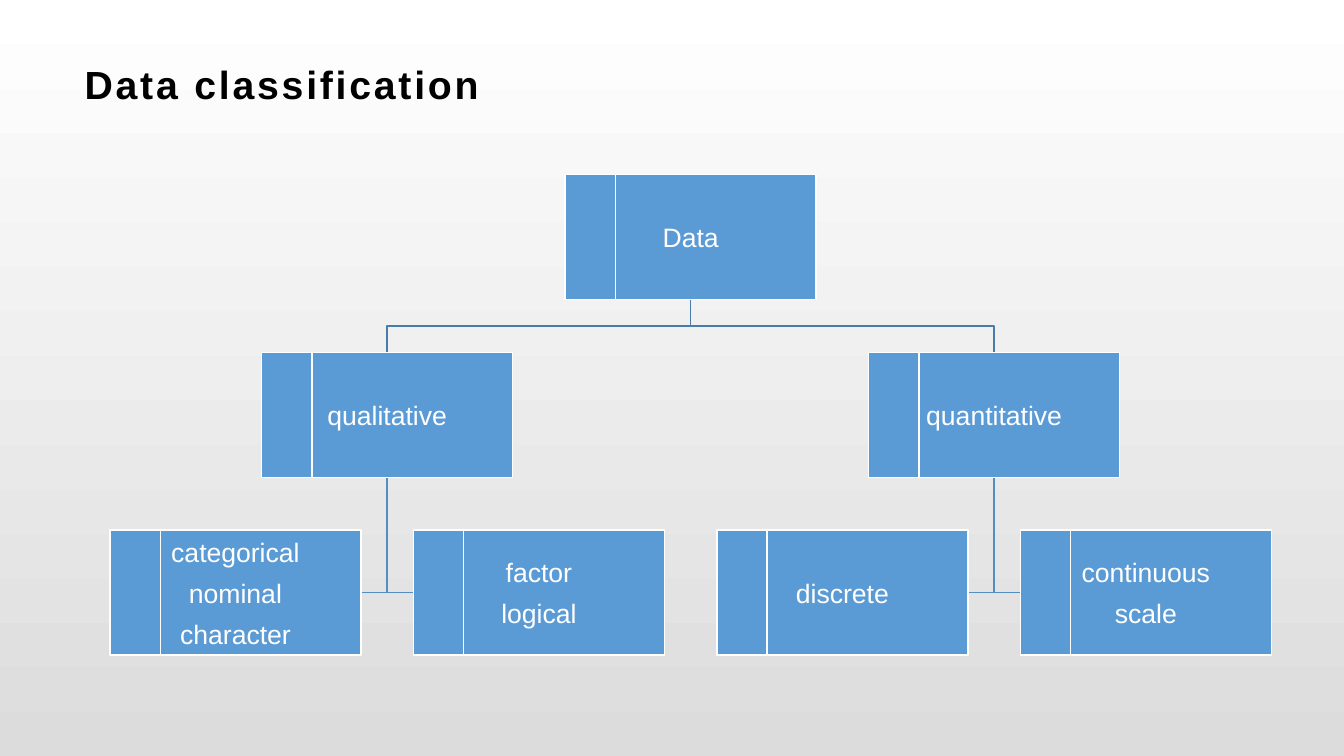
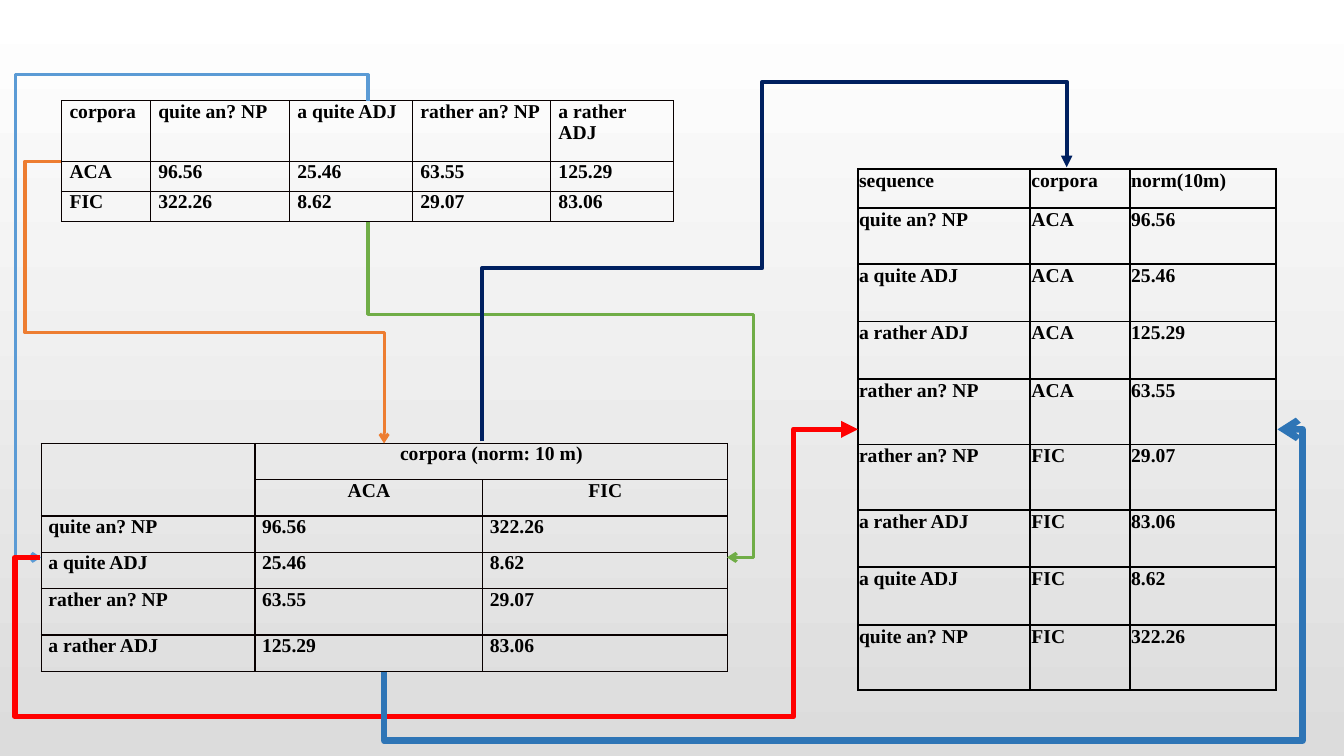
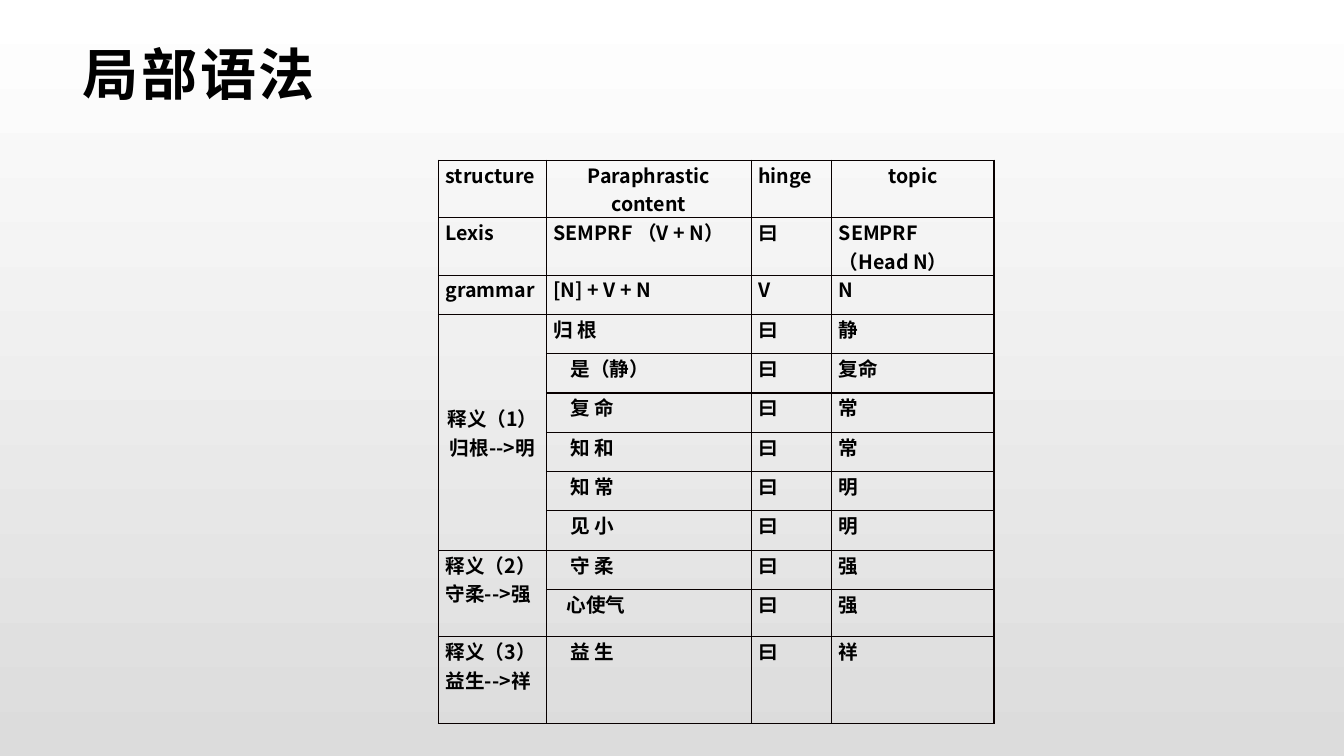
from dataclasses import dataclass, field
from typing import Optional

from lxml.etree import SubElement
from pptx import Presentation
from pptx.dml.color import RGBColor
from pptx.enum.shapes import MSO_CONNECTOR, MSO_SHAPE
from pptx.enum.text import MSO_ANCHOR, PP_ALIGN
from pptx.oxml import parse_xml
from pptx.oxml.ns import nsdecls, qn
from pptx.presentation import Presentation as Deck
from pptx.shapes.autoshape import Shape
from pptx.shapes.graphfrm import GraphicFrame
from pptx.slide import Slide
from pptx.text.text import TextFrame
from pptx.util import Inches, Pt

Point = tuple[float, float]
Position = tuple[int, int]

BLACK, WHITE, NODE_BLUE = "000000", "FFFFFF", "5B9BD5"
TRUNK_BLUE, BRANCH_BLUE = "497CAB", "538DC1"
SANS, SERIF, CHINESE = "Arial", "Times New Roman", "Noto Sans CJK SC"
TOP, LEFT, BOTTOM, RIGHT = range(4)

NODE_WIDTH, NODE_HEIGHT, STRIP_WIDTH = 2.49, 1.24, 0.5
LEAF_LEFT, LEAF_PITCH = 1.09, 3.01
LEVEL_TOPS = (1.73, 3.5, 5.26)


@dataclass(frozen=True)
class Node:
    """A tree box; column counts in leaf positions."""
    text: str
    column: float
    level: int

    @property
    def left(self) -> float:
        """Left edge in inches."""
        return LEAF_LEFT + self.column * LEAF_PITCH

    @property
    def top(self) -> float:
        """Top edge in inches."""
        return LEVEL_TOPS[self.level]

    @property
    def center(self) -> Point:
        """Middle of the box."""
        return self.left + NODE_WIDTH / 2, self.top + NODE_HEIGHT / 2


@dataclass(frozen=True)
class Grid:
    """A bordered table; spans maps a cell to its (rows, columns)."""
    left: float
    top: float
    widths: tuple[float, ...]
    heights: tuple[float, ...]
    rows: tuple[tuple[str, ...], ...]
    font: str = SERIF
    border: str = "080000"
    border_width: float = 1
    margins: Point = (0.07, 0)
    spans: dict[Position, Position] = field(default_factory=dict)
    centered: tuple[Position, ...] = ()
    indents: dict[Position, float] = field(default_factory=dict)


@dataclass(frozen=True)
class Route:
    """An elbow arrow between sides of two tables, through its corners."""
    source: str
    source_side: int
    target: str
    target_side: int
    points: tuple[Point, ...]
    color: str
    width: float
    head: Optional[str] = None
    tail: Optional[str] = None


ROOT = Node("Data", 1.5, 0)
QUALITATIVE = Node("qualitative", 0.5, 1)
QUANTITATIVE = Node("quantitative", 2.5, 1)
FAMILIES = {
    QUALITATIVE: (Node("categorical\nnominal\ncharacter", 0, 2),
                  Node("factor\nlogical", 1, 2)),
    QUANTITATIVE: (Node("discrete", 2, 2), Node("continuous\nscale", 3, 2)),
}

CORPUS_GRIDS = {
    "wide": Grid(
        0.61, 1, (0.88, 1.38, 1.22, 1.37, 1.22), (0.6, 0.3, 0.3),
        (("corpora", "quite an? NP", "a quite ADJ", "rather an? NP", "a rather ADJ"),
         ("ACA", "96.56", "25.46", "63.55", "125.29"),
         ("FIC", "322.26", "8.62", "29.07", "83.06")),
        margins=(0.08, 0)),
    "cross": Grid(
        0.41, 4.4, (2.12, 2.26, 2.43), (0.36, 0.36, 0.36, 0.36, 0.46, 0.36),
        (("", "corpora (norm: 10 m)", ""),
         ("", "ACA", "FIC"),
         ("quite an? NP", "96.56", "322.26"),
         ("a quite ADJ", "25.46", "8.62"),
         ("rather an? NP", "63.55", "29.07"),
         ("a rather ADJ", "125.29", "83.06")),
        spans={(0, 0): (2, 1), (0, 1): (1, 2)},
        centered=((0, 1), (1, 1), (1, 2))),
    "long": Grid(
        8.51, 1.68, (1.71, 0.99, 1.45),
        (0.38, 0.56, 0.57, 0.57, 0.65, 0.65, 0.57, 0.57, 0.65),
        (("sequence", "corpora", "norm(10m)"),
         ("quite an? NP", "ACA", "96.56"),
         ("a quite ADJ", "ACA", "25.46"),
         ("a rather ADJ", "ACA", "125.29"),
         ("rather an? NP", "ACA", "63.55"),
         ("rather an? NP", "FIC", "29.07"),
         ("a rather ADJ", "FIC", "83.06"),
         ("a quite ADJ", "FIC", "8.62"),
         ("quite an? NP", "FIC", "322.26")),
        border=BLACK, border_width=1.5, margins=(0.01, 0.01)),
}

ROUTES = (
    Route("wide", LEFT, "cross", TOP,
          ((0.61, 1.6), (0.25, 1.6), (0.25, 3.3), (3.81, 3.3), (3.81, 4.4)),
          "ED7D31", 2.25, tail="arrow"),
    Route("wide", TOP, "cross", LEFT,
          ((3.65, 1), (3.65, 0.74), (0.15, 0.74), (0.15, 5.53), (0.41, 5.53)),
          NODE_BLUE, 2.25, tail="arrow"),
    Route("wide", BOTTOM, "cross", RIGHT,
          ((3.65, 2.2), (3.65, 3.12), (7.47, 3.12), (7.47, 5.53), (7.21, 5.53)),
          "70AD47", 2.25, tail="arrow"),
    Route("long", LEFT, "cross", LEFT,
          ((8.51, 4.26), (7.87, 4.26), (7.87, 7.11), (0.15, 7.11), (0.15, 5.53),
           (0.4, 5.53)),
          "FF0000", 4, head="triangle"),
    Route("cross", BOTTOM, "long", RIGHT,
          ((3.81, 6.67), (3.81, 7.35), (12.92, 7.35), (12.92, 4.26), (12.67, 4.26)),
          "2E75B6", 4.75, tail="arrow"),
)
NAVY_TRACK = ((4.78, 4.38), (4.78, 2.66), (7.56, 2.66), (7.56, 0.81),
              (10.58, 0.81), (10.58, 1.66))

GRAMMAR_GRID = Grid(
    4.35, 1.59, (1.07, 2.03, 0.8, 1.61), (0.57,) * 2 + (0.39,) * 8 + (0.47, 0.86),
    (("structure", "Paraphrastic content", "hinge", "topic"),
     ("Lexis", "SEMPRF （V + N）", "曰", "SEMPRF （Head N）"),
     ("grammar", "[N] + V + N", "V", "N"),
     ("释义（1）归根-->明", "归 根", "曰", "静"),
     ("", "是（静）", "曰", "复命"),
     ("", "复 命", "曰", "常"),
     ("", "知 和", "曰", "常"),
     ("", "知 常", "曰", "明"),
     ("", "见 小", "曰", "明"),
     ("释义（2）守柔-->强", "守 柔", "曰", "强"),
     ("", "心使气", "曰", "强"),
     ("释义（3）益生-->祥", "益 生", "曰", "祥")),
    font=CHINESE,
    spans={(3, 0): (6, 1), (9, 0): (2, 1)},
    centered=((0, 1), (0, 3), (3, 0)),
    indents={**{(row, 1): 0.17 for row in range(4, 12)}, (10, 1): 0.13})


def rgb(value: str) -> RGBColor:
    """Turn a hex string into a colour."""
    return RGBColor.from_string(value)


def set_margins(frame: TextFrame, left: float, top: float,
                right: float, bottom: float) -> None:
    """Set the four text insets."""
    frame.margin_left, frame.margin_top = Inches(left), Inches(top)
    frame.margin_right, frame.margin_bottom = Inches(right), Inches(bottom)


def style_text(frame: TextFrame, size: float, font: str, color: str,
               bold: bool = False, spacing: float = 0) -> None:
    """Format every run of a text frame."""
    for para in frame.paragraphs:
        for span in para.runs:
            span.font.size, span.font.bold = Pt(size), bold
            span.font.name = font
            span.font.color.rgb = rgb(color)
            properties = span.font._element
            SubElement(properties, qn("a:ea")).set("typeface", CHINESE)
            if spacing:
                properties.set("spc", str(int(spacing * 100)))


def add_title(page: Slide, text: str, left: float, top: float,
              width: float, height: float, size: float) -> None:
    """Add the bold, spaced slide title."""
    box = page.shapes.add_textbox(Inches(left), Inches(top), Inches(width), Inches(height))
    frame = box.text_frame
    frame.word_wrap = True
    frame.vertical_anchor = MSO_ANCHOR.MIDDLE
    set_margins(frame, 0.11, 0.04, 0.08, 0.04)
    frame.text = text
    style_text(frame, size, SANS, BLACK, bold=True, spacing=2)


def add_arrowheads(line_properties, head: Optional[str], tail: Optional[str]) -> None:
    """Append arrowheads to a line element."""
    for tag, kind in (("a:headEnd", head), ("a:tailEnd", tail)):
        if kind:
            SubElement(line_properties, qn(tag)).set("type", kind)


def add_polyline(page: Slide, points: tuple[Point, ...], color: str, width: float,
                 tail: Optional[str] = None) -> None:
    """Draw an open outline through the points."""
    start, *others = [(Inches(x), Inches(y)) for x, y in points]
    builder = page.shapes.build_freeform(*start)
    builder.add_line_segments(others, close=False)
    track = builder.convert_to_shape()
    track.shadow.inherit = False
    track.fill.background()
    track.line.color.rgb = rgb(color)
    track.line.width = Pt(width)
    add_arrowheads(track.line._get_or_add_ln(), None, tail)


def add_node_box(page: Slide, node: Node, width: float) -> Shape:
    """Draw a blue rectangle at the node's corner."""
    box = page.shapes.add_shape(MSO_SHAPE.RECTANGLE, Inches(node.left), Inches(node.top),
                                Inches(width), Inches(NODE_HEIGHT))
    box.shadow.inherit = False
    box.fill.solid()
    box.fill.fore_color.rgb = rgb(NODE_BLUE)
    box.line.color.rgb = rgb(WHITE)
    box.line.width = Pt(1)
    return box


def add_node(page: Slide, node: Node) -> None:
    """Draw a labelled node with its strip on the left."""
    frame = add_node_box(page, node, NODE_WIDTH).text_frame
    frame.vertical_anchor = MSO_ANCHOR.MIDDLE
    set_margins(frame, 0.01, 0.01, 0.01, 0.01)
    frame.text = node.text
    for para in frame.paragraphs:
        para.alignment = PP_ALIGN.CENTER
        para.space_after = Pt(6.65)
    style_text(frame, 19, SANS, WHITE)
    add_node_box(page, node, STRIP_WIDTH)


def add_tree(page: Slide) -> None:
    """Draw the links, then the nodes of the classification."""
    root_x = ROOT.center[0]
    root_bottom = ROOT.top + NODE_HEIGHT
    for parent, leaves in FAMILIES.items():
        x = parent.center[0]
        middle = (root_bottom + parent.top) / 2
        add_polyline(page, ((root_x, root_bottom), (root_x, middle), (x, middle),
                            (x, parent.top)), TRUNK_BLUE, 1)
        for leaf in leaves:
            edge = leaf.left + (NODE_WIDTH if leaf.left < parent.left else 0)
            y = leaf.center[1]
            add_polyline(page, ((x, parent.top + NODE_HEIGHT), (x, y), (edge, y)),
                         BRANCH_BLUE, 1)
    add_node(page, ROOT)
    for parent, leaves in FAMILIES.items():
        for node in (parent, *leaves):
            add_node(page, node)


def set_borders(cell, color: str, width: float) -> None:
    """Give a table cell four solid borders."""
    properties = cell._tc.get_or_add_tcPr()
    for index, side in enumerate(("lnL", "lnR", "lnT", "lnB")):
        properties.insert(index, parse_xml(
            f'<a:{side} {nsdecls("a")} w="{Pt(width)}"><a:solidFill>'
            f'<a:srgbClr val="{color}"/></a:solidFill></a:{side}>'))


def add_grid(page: Slide, grid: Grid) -> GraphicFrame:
    """Add a bordered table without fill."""
    holder = page.shapes.add_table(
        len(grid.heights), len(grid.widths), Inches(grid.left), Inches(grid.top),
        Inches(sum(grid.widths)), Inches(sum(grid.heights)))
    table = holder.table
    table.first_row = table.horz_banding = False
    for column, width in zip(table.columns, grid.widths):
        column.width = Inches(width)
    for row, height in zip(table.rows, grid.heights):
        row.height = Inches(height)
    side, edge = grid.margins
    for row, texts in enumerate(grid.rows):
        for column, text in enumerate(texts):
            cell = table.cell(row, column)
            cell.fill.background()
            set_borders(cell, grid.border, grid.border_width)
            set_margins(cell, side + grid.indents.get((row, column), 0), edge, side, edge)
            cell.text_frame.text = text
            style_text(cell.text_frame, 14, grid.font, BLACK, bold=True)
            if (row, column) in grid.centered:
                cell.text_frame.paragraphs[0].alignment = PP_ALIGN.CENTER
    for (row, column), (height, width) in grid.spans.items():
        origin = table.cell(row, column)
        origin.merge(table.cell(row + height - 1, column + width - 1))
        if height > 2:
            origin.vertical_anchor = MSO_ANCHOR.MIDDLE
    return holder


def add_route(page: Slide, route: Route, holders: dict[str, GraphicFrame]) -> None:
    """Draw an elbow connector, turned to the way its first stretch runs."""
    start, corner, end = route.points[0], route.points[1], route.points[-1]
    upright = start[0] == corner[0]
    if upright:
        step_x, step_y = 0, 1 if corner[1] > start[1] else -1
    else:
        step_x, step_y = 1 if corner[0] > start[0] else -1, 0
    turn = {(1, 0): 0, (0, 1): 90, (-1, 0): 180, (0, -1): 270}[step_x, step_y]
    run_x, run_y = end[0] - start[0], end[1] - start[1]
    along = run_x * step_x + run_y * step_y
    across = run_y * step_x - run_x * step_y
    middle_x, middle_y = (start[0] + end[0]) / 2, (start[1] + end[1]) / 2

    link = page.shapes.add_connector(MSO_CONNECTOR.ELBOW, 0, 0, 0, 0)
    link.begin_connect(holders[route.source], route.source_side)
    link.end_connect(holders[route.target], route.target_side)
    link.begin_x, link.begin_y = Inches(middle_x - along / 2), Inches(middle_y - across / 2)
    link.end_x, link.end_y = Inches(middle_x + along / 2), Inches(middle_y + across / 2)
    link.line.color.rgb = rgb(route.color)
    link.line.width = Pt(route.width)

    properties = link._element.spPr
    properties.find(qn("a:xfrm")).set("rot", str(turn * 60000))
    geometry = properties.find(qn("a:prstGeom"))
    geometry.set("prst", f"bentConnector{len(route.points) - 1}")
    guides = geometry.find(qn("a:avLst"))
    for index in range(1, len(route.points) - 2):
        axis = (index + 1 + upright) % 2
        share = (route.points[index][axis] - start[axis]) / (end[axis] - start[axis])
        guide = SubElement(guides, qn("a:gd"))
        guide.set("name", f"adj{index}")
        guide.set("fmla", f"val {round(share * 100000)}")
    add_arrowheads(link.line._get_or_add_ln(), route.head, route.tail)
    SubElement(properties, qn("a:effectLst"))


def set_backdrop(deck: Deck) -> None:
    """Give the master its white to grey gradient."""
    fill = deck.slide_master.background.fill
    fill.gradient()
    fill.gradient_angle = 270
    for stop, color in zip(fill.gradient_stops, (WHITE, "DCDCDC")):
        stop.color.rgb = rgb(color)


def main() -> None:
    """Build and save the deck."""
    deck = Presentation()
    deck.slide_width, deck.slide_height = Inches(13.33), Inches(7.5)
    set_backdrop(deck)
    tree_page, corpus_page, grammar_page = (
        deck.slides.add_slide(deck.slide_layouts[6]) for _ in range(3))

    add_title(tree_page, "Data classification", 0.73, 0.48, 11.87, 0.71, 28)
    add_tree(tree_page)

    holders = {name: add_grid(corpus_page, grid) for name, grid in CORPUS_GRIDS.items()}
    for route in ROUTES:
        add_route(corpus_page, route, holders)
    add_polyline(corpus_page, NAVY_TRACK, "002060", 2.75, tail="triangle")

    add_title(grammar_page, "局部语法", 0.71, 0.29, 11.5, 0.88, 40)
    add_grid(grammar_page, GRAMMAR_GRID)
    deck.save("out.pptx")


main()
